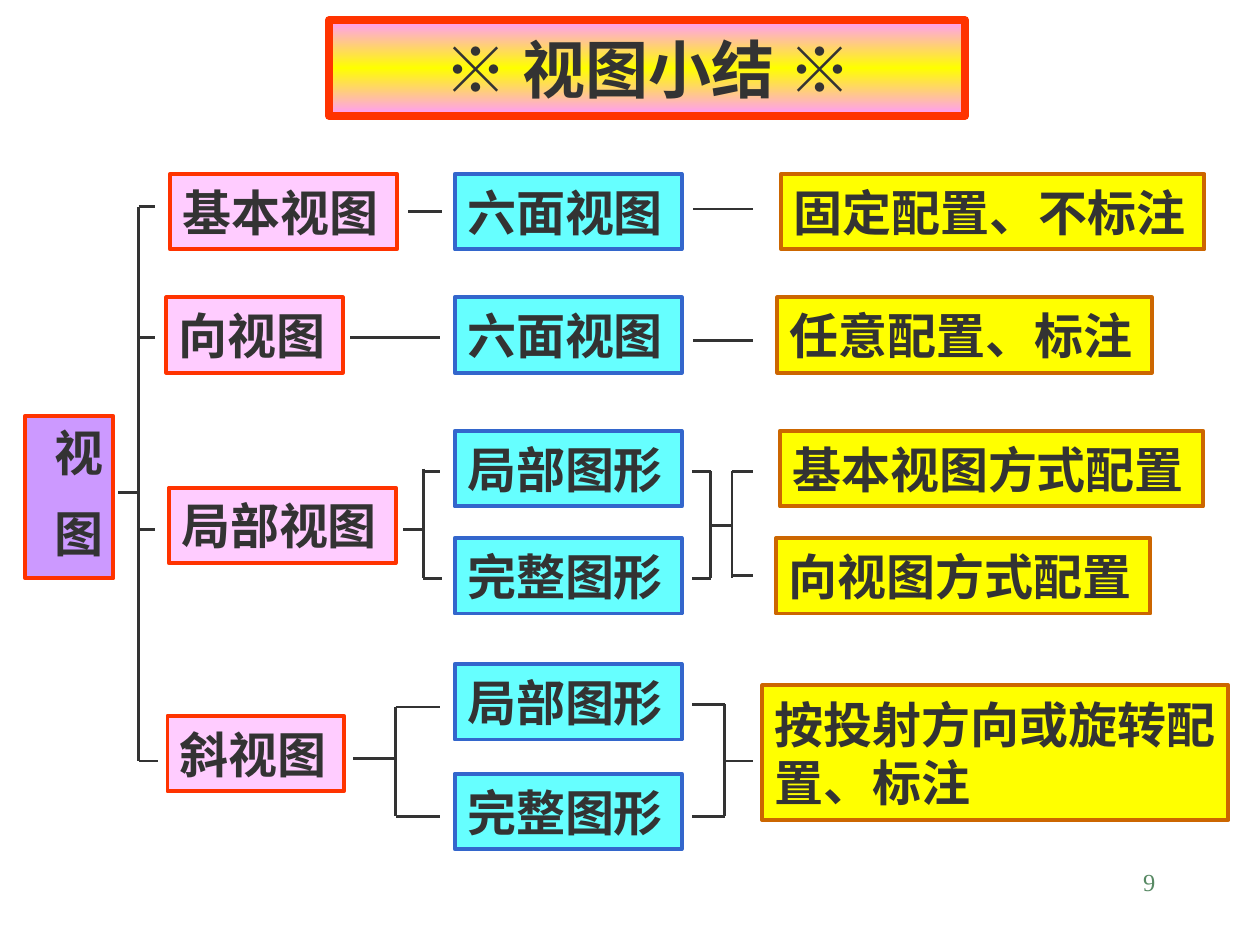
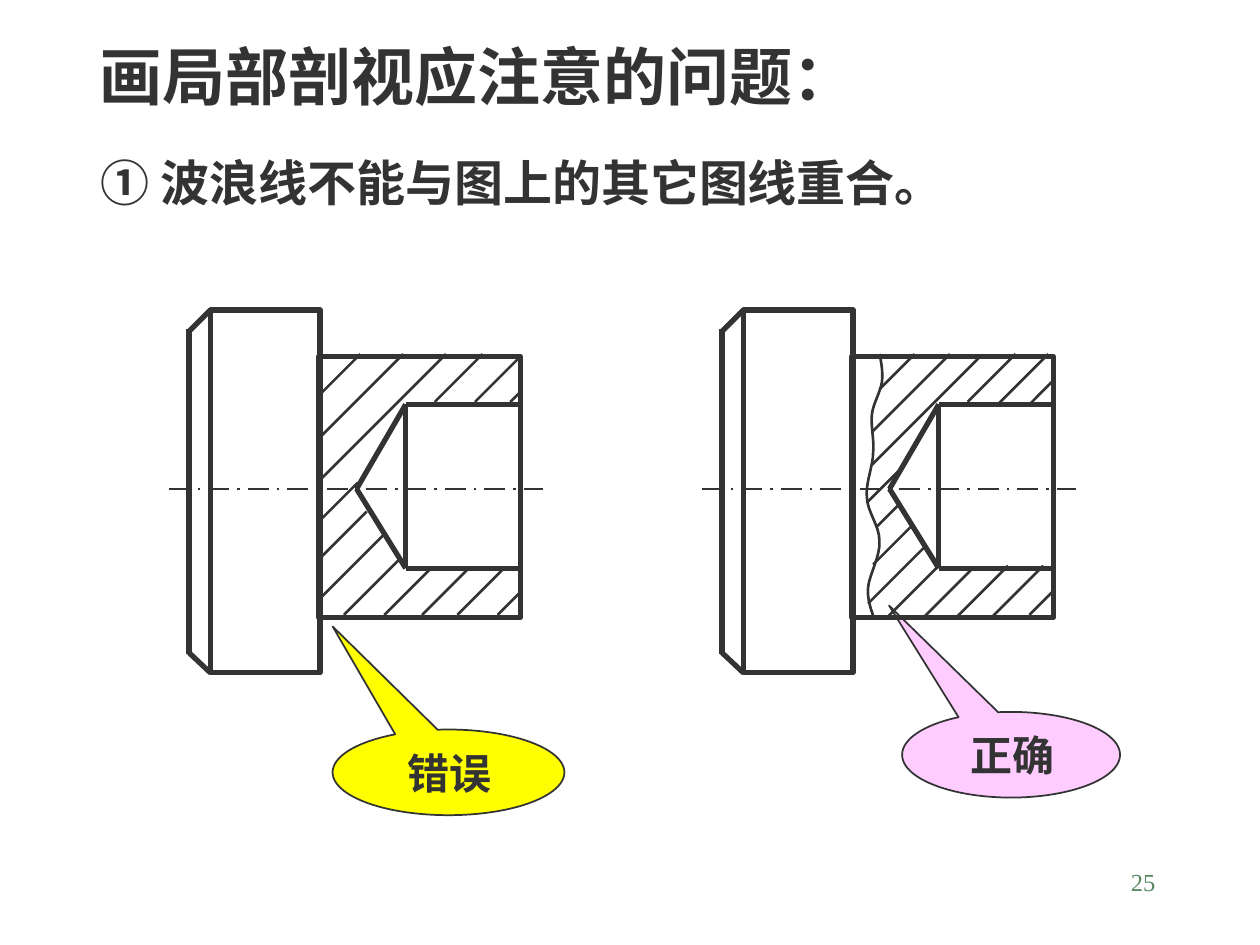
from copy import deepcopy

from lxml import etree
from pptx import Presentation
from pptx.dml.color import RGBColor
from pptx.enum.dml import MSO_LINE
from pptx.enum.shapes import MSO_CONNECTOR, MSO_SHAPE
from pptx.enum.text import MSO_ANCHOR, MSO_AUTO_SIZE, PP_ALIGN
from pptx.oxml.ns import qn
from pptx.util import Inches, Pt

INK = RGBColor(0x33, 0x33, 0x33)
GREEN = RGBColor(0x57, 0x89, 0x63)
RED = RGBColor(0xFF, 0x33, 0x00)
YELLOW = RGBColor(0xFF, 0xFF, 0x00)
MAGENTA = RGBColor(0xFF, 0x99, 0xFF)
PINK = RGBColor(0xFF, 0xCC, 0xFF)
CYAN = RGBColor(0x66, 0xFF, 0xFF)
BLUE = RGBColor(0x33, 0x66, 0xCC)
BROWN = RGBColor(0xCC, 0x66, 0x00)
PURPLE = RGBColor(0xCC, 0x99, 0xFF)
LATIN_FONT = "Times New Roman"
CHINESE_FONT = "Noto Sans CJK SC"


def write_text(shape, lines, size, align=PP_ALIGN.LEFT, color=INK, bold=True,
               font=LATIN_FONT, anchor=MSO_ANCHOR.MIDDLE):
    frame = shape.text_frame
    frame.word_wrap = True
    frame.auto_size = MSO_AUTO_SIZE.NONE
    frame.vertical_anchor = anchor
    frame.margin_left, frame.margin_right = Inches(0.1), Inches(0.08)
    frame.margin_top = frame.margin_bottom = Inches(0.05)
    for index, line in enumerate(lines):
        paragraph = frame.add_paragraph() if index else frame.paragraphs[0]
        paragraph.alignment = align
        paragraph.space_before = Pt(13 if index else 0)
        run = paragraph.add_run()
        run.text = line
        run.font.size = Pt(size)
        run.font.bold = bold
        run.font.color.rgb = color
        run.font.name = font
        etree.SubElement(run.font._element, qn("a:ea"), typeface=CHINESE_FONT)


def add_line(slide, x1, y1, x2, y2, width=1.5):
    line = slide.shapes.add_connector(
        MSO_CONNECTOR.STRAIGHT, Inches(x1), Inches(y1), Inches(x2), Inches(y2))
    line.line.color.rgb = INK
    line.line.width = Pt(width)
    etree.SubElement(line._element.spPr, qn("a:effectLst"))
    return line


presentation = Presentation()
presentation.slide_width = Inches(10)
presentation.slide_height = Inches(7.5)
title_only = presentation.slide_layouts[5]
title_and_content = presentation.slide_layouts[1]

# Shared by both slides: title and page number
slides = []
for layout, title_text, title_box, align, number in (
        (title_only, "※ 视图小结 ※", (2.61, 0.16, 5.05, 0.76), PP_ALIGN.CENTER, "9"),
        (title_and_content, "画局部剖视应注意的问题：", (0.69, 0.25, 6.3, 0.7),
         PP_ALIGN.LEFT, "25")):
    slide = presentation.slides.add_slide(layout)
    title = slide.shapes.title
    title.left, title.top, title.width, title.height = map(Inches, title_box)
    write_text(title, [title_text], 36, align)
    page_number = slide.shapes.add_textbox(*map(Inches, (7.17, 6.83, 2.08, 0.5)))
    write_text(page_number, [number], 14, PP_ALIGN.RIGHT, GREEN, False,
               anchor=MSO_ANCHOR.TOP)
    slides.append(slide)
summary_slide, section_slide = slides

# Slide 1: gradient title band
title = summary_slide.shapes.title
title.line.color.rgb = RED
title.line.width = Pt(4.5)
title.fill.gradient()
title.fill.gradient_angle = 90
stop_list = title._element.spPr.find(".//" + qn("a:gsLst"))
stop_list.append(deepcopy(stop_list[0]))
for stop, position, color in zip(title.fill.gradient_stops, (0, 0.5, 1),
                                 (MAGENTA, YELLOW, MAGENTA)):
    stop.position = position
    stop.color.rgb = color

# Slide 1: tree boxes, one column per level
columns = [
    (PURPLE, RED, [(["视", "图"], 0.2, 3.3, 0.7, 1.29)]),
    (PINK, RED, [(["基本视图"], 1.35, 1.38, 1.8, 0.6),
                 (["向视图"], 1.32, 2.36, 1.4, 0.6),
                 (["局部视图"], 1.34, 3.87, 1.8, 0.6),
                 (["斜视图"], 1.33, 5.68, 1.4, 0.6)]),
    (CYAN, BLUE, [([text], 3.61, top, 1.8, 0.6) for text, top in (
        ("六面视图", 1.38), ("六面视图", 2.36), ("局部图形", 3.42),
        ("完整图形", 4.27), ("局部图形", 5.27), ("完整图形", 6.14))]),
    (YELLOW, BROWN, [(["固定配置、不标注"], 6.2, 1.38, 3.36, 0.6),
                     (["任意配置、标注"], 6.17, 2.36, 2.97, 0.6),
                     (["基本视图方式配置"], 6.19, 3.42, 3.36, 0.6),
                     (["向视图方式配置"], 6.16, 4.27, 2.97, 0.6),
                     (["按投射方向或旋转配置、标注"], 6.05, 5.44, 3.7, 1.07)]),
]
for fill_color, line_color, boxes in columns:
    for lines, *box in boxes:
        shape = summary_slide.shapes.add_shape(MSO_SHAPE.RECTANGLE, *map(Inches, box))
        shape.shadow.inherit = False
        shape.fill.solid()
        shape.fill.fore_color.rgb = fill_color
        shape.line.color.rgb = line_color
        shape.line.width = Pt(2.25)
        is_root = fill_color == PURPLE
        write_text(shape, lines, 28, PP_ALIGN.RIGHT if is_root else PP_ALIGN.LEFT,
                   anchor=MSO_ANCHOR.TOP if is_root else MSO_ANCHOR.MIDDLE)
# The last box wraps onto two tight lines
shape.text_frame.paragraphs[0].line_spacing = Pt(33.7)

# Slide 1: brackets as a spine (x, top, bottom) with branches (end x, y)
brackets = [
    (1.1, 1.64, 6.04, [(0.94, 3.91), (1.23, 1.64), (1.23, 2.68), (1.23, 4.2), (1.25, 6.04)]),
    (3.36, 3.72, 4.59, [(3.49, 3.74), (3.51, 4.59), (3.2, 4.2)]),
    (3.14, 5.61, 6.48, [(3.49, 5.61), (3.49, 6.48), (2.8, 6.02)]),
    (5.64, 3.74, 4.59, [(5.49, 3.74), (5.49, 4.59), (5.81, 4.17)]),
    (5.81, 3.74, 4.59, [(5.98, 3.74), (5.98, 4.57)]),
    (5.75, 5.59, 6.48, [(5.49, 5.59), (5.49, 6.48), (5.98, 6.04)]),
]
for spine, top, bottom, branches in brackets:
    add_line(summary_slide, spine, top, spine, bottom)
    for end, y in branches:
        add_line(summary_slide, spine, y, end, y)

# Slide 1: plain links between neighbouring boxes
for start, end, y in ((3.24, 3.51, 1.68), (5.5, 5.98, 1.66),
                      (2.78, 3.49, 2.68), (5.5, 5.98, 2.7)):
    add_line(summary_slide, start, y, end, y)

# Slide 2: numbered rule
body = section_slide.placeholders[1]
body.left, body.top, body.width, body.height = map(Inches, (0.7, 1.16, 8.03, 0.57))
properties = body.text_frame.paragraphs[0]._p.get_or_add_pPr()
properties.set("marL", "0")
properties.set("indent", "0")
etree.SubElement(properties, qn("a:buNone"))
write_text(body, ["① 波浪线不能与图上的其它图线重合。"], 28, font=CHINESE_FONT)

# Slide 2: verdict callouts
for text, color, box, tip in (
        ("错误", YELLOW, (2.64, 5.79, 1.84, 0.68), (-0.5, -1.704)),
        ("正确", PINK, (7.16, 5.65, 1.73, 0.68), (-0.56, -1.742))):
    callout = section_slide.shapes.add_shape(MSO_SHAPE.OVAL_CALLOUT, *map(Inches, box))
    callout.adjustments[0], callout.adjustments[1] = tip
    callout.shadow.inherit = False
    callout.fill.solid()
    callout.fill.fore_color.rgb = color
    callout.line.color.rgb = INK
    callout.line.width = Pt(1)
    write_text(callout, [text], 24, PP_ALIGN.CENTER)

# Slide 2: the same part twice, with 45 degree hatching (x, y, run)
wrong_hatching = [
    (2.53, 3.14, 0.33), (2.53, 3.48, 0.67), (2.54, 3.81, 1), (2.53, 4.14, 0.31),
    (3.45, 3.19, 0.38), (3.77, 3.19, 0.35), (4.05, 3.19, 0.07), (2.53, 4.44, 0.38),
    (2.53, 4.76, 0.52), (2.73, 4.88, 0.44), (3.05, 4.88, 0.38), (3.35, 4.88, 0.38),
    (3.63, 4.88, 0.38), (3.95, 4.88, 0.17)]
right_hatching = [
    (6.98, 3.09, 0.28), (6.92, 3.43, 0.62), (6.92, 3.69, 0.86), (6.88, 3.99, 0.25),
    (7.68, 3.19, 0.38), (7.92, 3.21, 0.4), (8.18, 3.2, 0.19), (6.96, 4.18, 0.18),
    (6.93, 4.48, 0.3), (6.89, 4.79, 0.45), (7.05, 4.89, 0.4), (7.33, 4.9, 0.39),
    (7.6, 4.89, 0.4), (7.88, 4.89, 0.4), (8.17, 4.88, 0.2)]
outline = [
    (1.67, 2.46, 1.49, 2.64), (1.67, 5.34, 1.5, 5.18), (1.5, 5.19, 1.5, 2.61),
    (3.22, 3.21, 4.15, 3.21), (3.22, 4.51, 4.15, 4.51), (3.22, 3.21, 3.22, 4.51),
    (3.22, 3.21, 2.83, 3.88), (2.83, 3.88, 3.22, 4.51)]
for offset, hatching in ((0, wrong_hatching), (4.23, right_hatching)):
    center_line = add_line(section_slide, 1.34 + offset, 3.88, 4.31 + offset, 3.88)
    center_line.line.dash_style = MSO_LINE.LONG_DASH_DOT
    for left, top, width, height in ((1.67, 2.46, 0.87, 2.88), (2.53, 2.83, 1.6, 2.07)):
        block = section_slide.shapes.add_shape(
            MSO_SHAPE.RECTANGLE, Inches(left + offset), Inches(top),
            Inches(width), Inches(height))
        block.shadow.inherit = False
        block.fill.background()
        block.line.color.rgb = INK
        block.line.width = Pt(3)
    for x1, y1, x2, y2 in outline:
        add_line(section_slide, x1 + offset, y1, x2 + offset, y2, 3)
    for x, y, run_length in hatching:
        add_line(section_slide, x, y, x + run_length, y - run_length)

# Slide 2: wavy break line, sampled from cubic curves
wave_start = (6.98, 2.81)
wave_curves = [
    ((6.99, 2.85), (7.01, 2.95), (7, 3.03)),
    ((6.99, 3.11), (6.93, 3.2), (6.92, 3.29)),
    ((6.91, 3.39), (6.94, 3.49), (6.93, 3.59)),
    ((6.93, 3.7), (6.87, 3.83), (6.88, 3.94)),
    ((6.88, 4.06), (6.98, 4.17), (6.98, 4.29)),
    ((6.99, 4.41), (6.9, 4.56), (6.89, 4.66)),
    ((6.88, 4.76), (6.92, 4.85), (6.93, 4.89))]
steps = 8
wave_points = []
start = wave_start
for first, second, end in wave_curves:
    for step in range(1, steps + 1):
        t = step / steps
        wave_points.append(tuple(
            Inches((1 - t) ** 3 * a + 3 * (1 - t) ** 2 * t * b + 3 * (1 - t) * t ** 2 * c + t ** 3 * d)
            for a, b, c, d in zip(start, first, second, end)))
    start = end
builder = section_slide.shapes.build_freeform(*map(Inches, wave_start))
builder.add_line_segments(wave_points, close=False)
wave = builder.convert_to_shape()
wave.shadow.inherit = False
wave.fill.background()
wave.line.color.rgb = INK
wave.line.width = Pt(1.5)

presentation.save("out.pptx")
